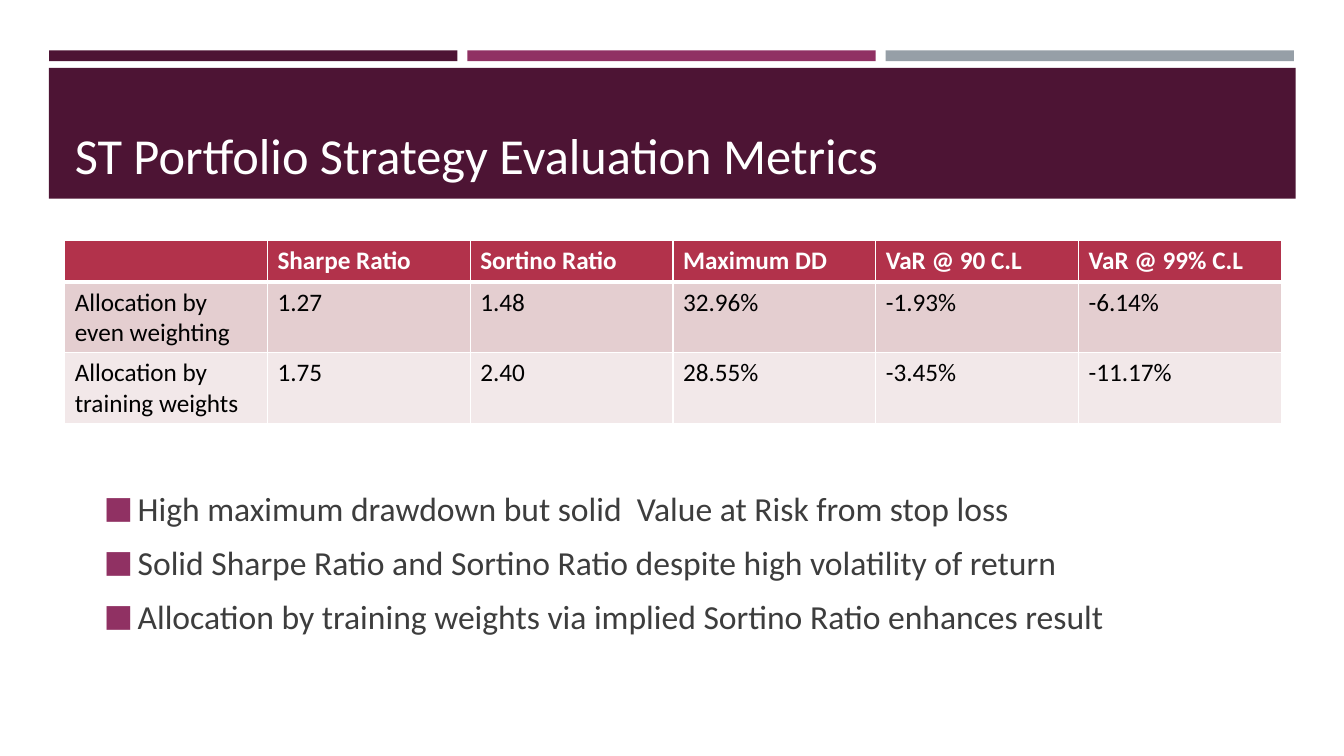
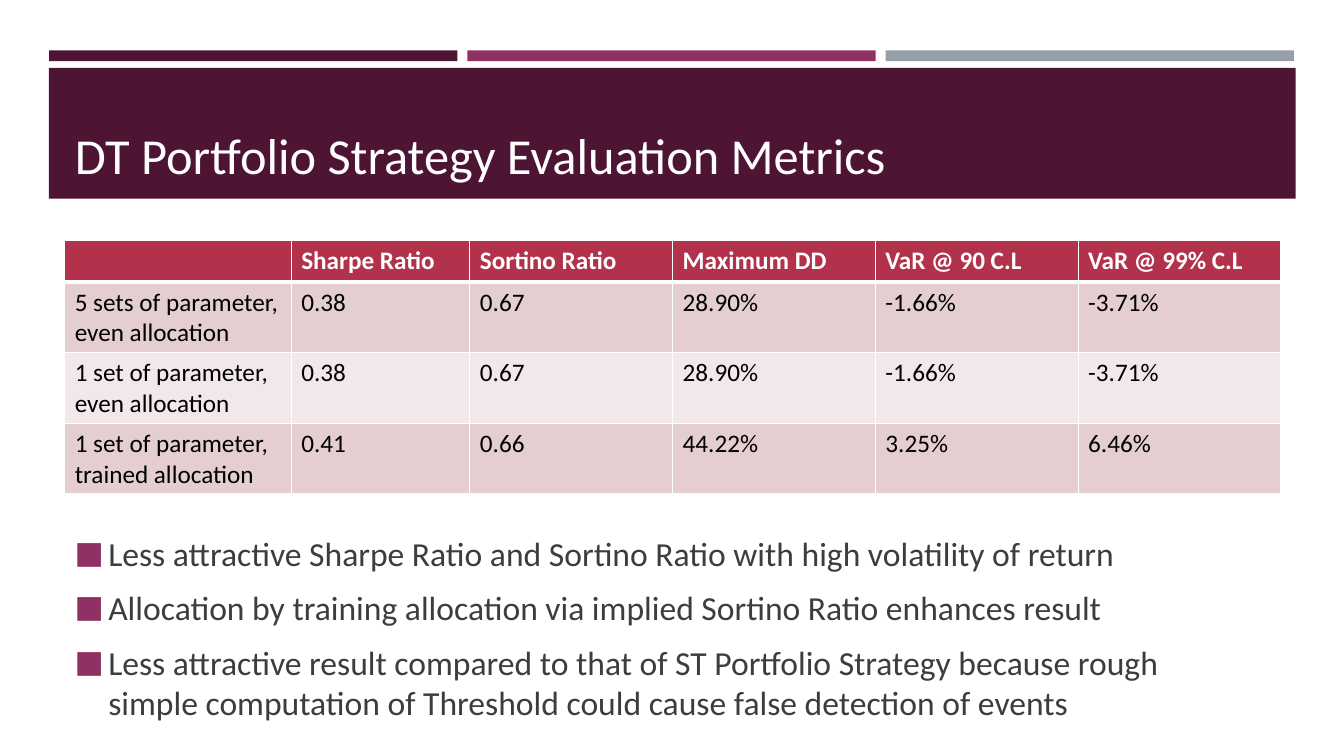
from dataclasses import dataclass

from lxml import etree
from pptx import Presentation
from pptx import util as u
from pptx.dml import color
from pptx.enum import shapes, text
from pptx.oxml import ns

COLORS = {
    "plum": "4D1434",
    "violet": "903163",
    "gray": "969FA7",
    "white": "FFFFFF",
    "header": "B2324B",
    "row_dark": "E4CED0",
    "row_light": "F2E8E9",
    "body": "3D3D3D",
    "black": "000000",
}
FONT = "Calibri"
MARGIN = u.Cm(1.63)
CONTENT_WIDTH = u.Cm(30.63)
BODY_WIDTH = u.Cm(28.12)
INDENT = u.Cm(0.85)
HEADINGS = ("", "Sharpe Ratio", "Sortino Ratio", "Maximum DD", "VaR @ 90 C.L", "VaR @ 99% C.L")
EVEN_COLUMNS = (5.11,) * 6
WIDE_FIRST_COLUMN = (5.71, 4.5) + (5.11,) * 4


@dataclass(frozen=True)
class Band:
    left: float
    top: float
    width: float
    height: float
    color: str


@dataclass(frozen=True)
class MetricsSlide:
    title: str
    columns: tuple[float, ...]
    rows: tuple[tuple[str, ...], ...]
    bullets: tuple[str, ...]
    bullets_left: float
    bullets_top: float
    bullets_height: float


BANDS = [
    Band(1.24 + 10.54 * index, 1.27, 10.29, 0.27, name)
    for index, name in enumerate(("plum", "violet", "gray"))
] + [Band(1.23, 1.71, 31.42, 3.3, "plum")]

SLIDES = (
    MetricsSlide(
        "ST Portfolio Strategy Evaluation Metrics",
        EVEN_COLUMNS,
        (
            ("Allocation by even weighting", "1.27", "1.48", "32.96%", "-1.93%", "-6.14%"),
            ("Allocation by training weights", "1.75", "2.40", "28.55%", "-3.45%", "-11.17%"),
        ),
        (
            "High maximum drawdown but solid  Value at Risk from stop loss",
            "Solid Sharpe Ratio and Sortino Ratio despite high volatility of return",
            "Allocation by training weights via implied Sortino Ratio enhances result",
        ),
        2.37, 12.01, 4.3,
    ),
    MetricsSlide(
        "DT Portfolio Strategy Evaluation Metrics",
        WIDE_FIRST_COLUMN,
        (
            ("5 sets of parameter, even allocation", "0.38", "0.67", "28.90%", "-1.66%", "-3.71%"),
            ("1 set of parameter, even allocation", "0.38", "0.67", "28.90%", "-1.66%", "-3.71%"),
            ("1 set of parameter, trained allocation", "0.41", "0.66", "44.22%", "3.25%", "6.46%"),
        ),
        (
            "Less attractive Sharpe Ratio and Sortino Ratio with high volatility of return",
            "Allocation by training allocation via implied Sortino Ratio enhances result",
            "Less attractive result compared to that of ST Portfolio Strategy because rough "
            "simple computation of Threshold could cause false detection of events",
        ),
        1.63, 13.13, 5.36,
    ),
)


def rgb(name: str) -> color.RGBColor:
    return color.RGBColor.from_string(COLORS[name])


def add_run(paragraph, content: str, size: int, color_name: str, bold: bool = False) -> None:
    run = paragraph.add_run()
    run.text = content
    run.font.name = FONT
    run.font.size = u.Pt(size)
    run.font.bold = bold
    run.font.color.rgb = rgb(color_name)


def add_child(parent, tag: str, **attributes: str):
    return etree.SubElement(parent, ns.qn(tag), attributes)


def add_band(slide, band: Band) -> None:
    shape = slide.shapes.add_shape(
        shapes.MSO_SHAPE.RECTANGLE,
        u.Cm(band.left), u.Cm(band.top), u.Cm(band.width), u.Cm(band.height),
    )
    shape.shadow.inherit = False
    shape.fill.solid()
    shape.fill.fore_color.rgb = rgb(band.color)
    shape.line.fill.background()


def set_title(slide, content: str) -> None:
    title = slide.shapes.title
    title.element.getparent().append(title.element)
    title.left, title.top = MARGIN, u.Cm(1.96)
    title.width, title.height = CONTENT_WIDTH, u.Cm(2.82)
    frame = title.text_frame
    frame.word_wrap = True
    frame.auto_size = text.MSO_AUTO_SIZE.NONE
    frame.vertical_anchor = text.MSO_ANCHOR.BOTTOM
    paragraph = frame.paragraphs[0]
    paragraph.alignment = text.PP_ALIGN.LEFT
    add_run(paragraph, content, 36, "white")


def set_borders(cell, top: int, bottom: int) -> None:
    properties = cell._tc.get_or_add_tcPr()
    for side, points in (("L", 1), ("R", 1), ("T", top), ("B", bottom)):
        line = add_child(properties, f"a:ln{side}", w=str(u.Pt(points)))
        fill = add_child(line, "a:solidFill")
        add_child(fill, "a:srgbClr", val=COLORS["white"])


def add_metrics_table(slide, content: MetricsSlide) -> None:
    rows = (HEADINGS,) + content.rows
    heights = [u.Cm(1.04)] + [u.Cm(1.78)] * len(content.rows)
    table = slide.shapes.add_table(
        len(rows), len(HEADINGS), MARGIN, u.Cm(6.07), CONTENT_WIDTH, sum(heights)
    ).table
    table.horz_banding = False
    for column, width in zip(table.columns, content.columns):
        column.width = u.Cm(width)
    for row_index, values in enumerate(rows):
        is_header = row_index == 0
        table.rows[row_index].height = heights[row_index]
        fill_name = "header" if is_header else ("row_light", "row_dark")[row_index % 2]
        for column_index, value in enumerate(values):
            cell = table.cell(row_index, column_index)
            set_borders(cell, 3 if row_index == 1 else 1, 3 if is_header else 1)
            cell.fill.solid()
            cell.fill.fore_color.rgb = rgb(fill_name)
            if value:
                add_run(cell.text_frame.paragraphs[0], value, 18,
                        "white" if is_header else "black", is_header)


def set_bullet(paragraph) -> None:
    properties = paragraph._p.get_or_add_pPr()
    properties.set("marL", str(INDENT))
    properties.set("indent", str(-INDENT))
    bullet_color = add_child(properties, "a:buClr")
    add_child(bullet_color, "a:srgbClr", val=COLORS["violet"])
    add_child(properties, "a:buSzPct", val="92000")
    add_child(properties, "a:buFont", typeface=FONT)
    add_child(properties, "a:buChar", char="■")


def add_bullets(slide, content: MetricsSlide) -> None:
    frame = slide.shapes.add_textbox(
        u.Cm(content.bullets_left), u.Cm(content.bullets_top),
        BODY_WIDTH, u.Cm(content.bullets_height),
    ).text_frame
    frame.word_wrap = True
    frame.vertical_anchor = text.MSO_ANCHOR.MIDDLE
    for index, bullet in enumerate(content.bullets):
        paragraph = frame.add_paragraph() if index else frame.paragraphs[0]
        paragraph.space_before = u.Pt(4)
        paragraph.space_after = u.Pt(6)
        set_bullet(paragraph)
        add_run(paragraph, bullet, 24, "body")


def main() -> None:
    presentation = Presentation()
    presentation.slide_width = u.Cm(33.87)
    presentation.slide_height = u.Cm(19.05)
    title_only = presentation.slide_layouts.get_by_name("Title Only")
    for content in SLIDES:
        slide = presentation.slides.add_slide(title_only)
        for band in BANDS:
            add_band(slide, band)
        set_title(slide, content.title)
        add_bullets(slide, content)
        add_metrics_table(slide, content)
    presentation.save("out.pptx")


if __name__ == "__main__":
    main()
